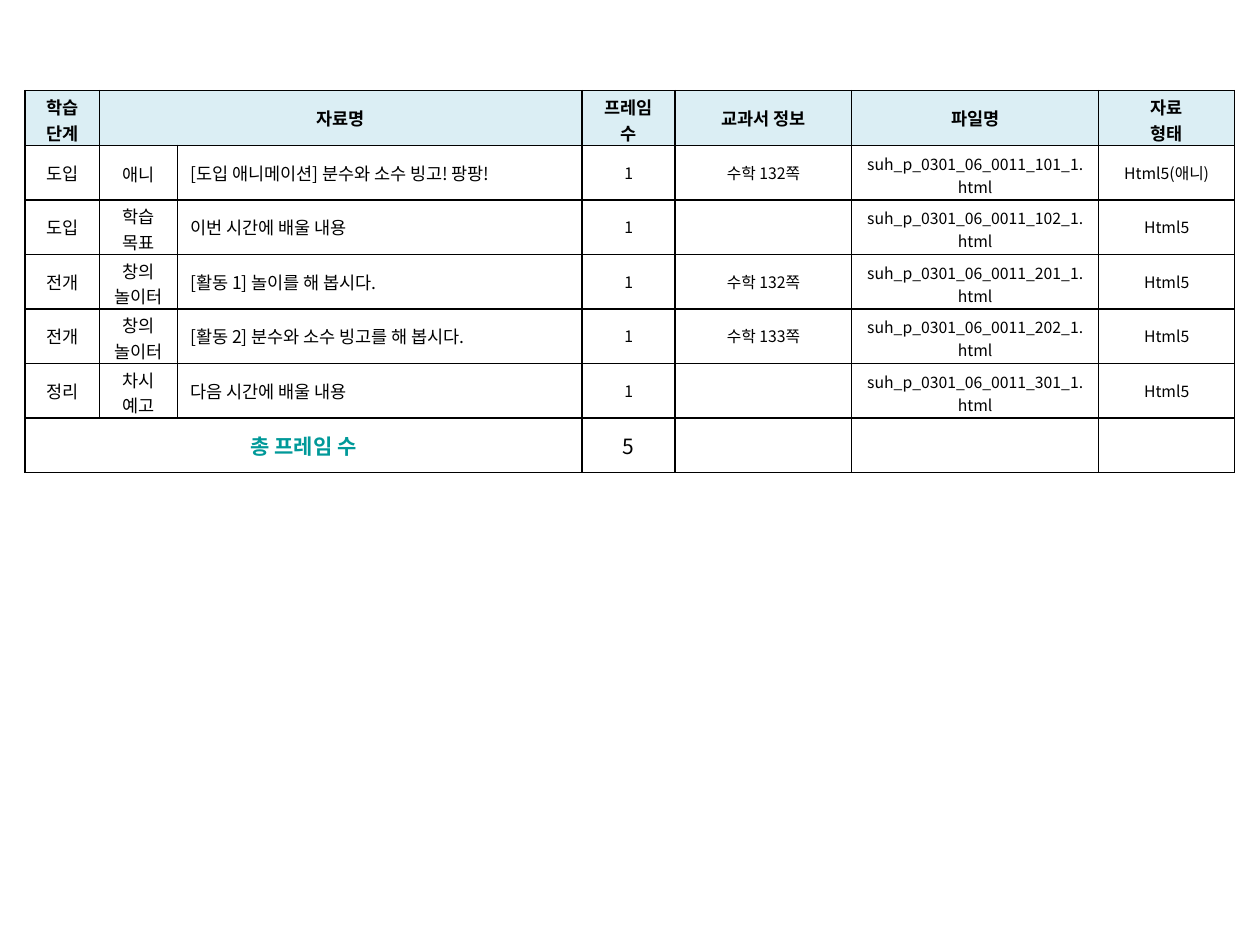
"""Build a slide with the table of lesson frames."""
from dataclasses import dataclass

from lxml.etree import SubElement
from pptx import Presentation
from pptx.dml.color import RGBColor
from pptx.enum.text import MSO_ANCHOR, PP_ALIGN
from pptx.oxml.ns import qn
from pptx.table import Table, _Cell
from pptx.util import Inches, Pt

FONT = "Noto Sans CJK KR"
BLACK, TEAL, PALE = "000000", "009999", "DBEEF4"
WIDTHS = (0.59, 0.62, 3.21, 0.74, 1.4, 1.96, 1.08)
HEIGHT = 3.03
HEADS = ("학습 단계", "자료명", "", "프레임 수", "교과서 정보", "파일명", "자료\n형태")


@dataclass
class Style:
    size: float = 10
    bold: bool = False
    color: str = BLACK
    align: PP_ALIGN = PP_ALIGN.CENTER
    fill: str = ""
    top: float = 0.05
    base: float = 0.05


@dataclass
class Frame:
    stage: str
    kind: str
    name: str
    book: str
    code: str
    form: str = "Html5"

    def texts(self) -> tuple[str, ...]:
        file = f"suh_p_0301_06_0011_{self.code}_1.html"
        return (self.stage, self.kind, self.name, "1", self.book, file, self.form)


HEAD = Style(bold=True, fill=PALE)
TIGHT = Style(bold=True, fill=PALE, top=0.03, base=0)
BODY = Style()
KIND = Style(top=0.03, base=0)
NAME = Style(align=PP_ALIGN.LEFT)
SMALL = Style(size=9)
FILE = Style(size=9, base=0.01)
TOTAL = Style(size=12, bold=True, color=TEAL)
COUNT = Style(size=12)
TOPS = (TIGHT, HEAD, HEAD, TIGHT, HEAD, HEAD, TIGHT)
STYLES = (BODY, KIND, NAME, SMALL, SMALL, FILE, SMALL)
FRAMES = (
    Frame("도입", "애니", "[도입 애니메이션] 분수와 소수 빙고! 팡팡!", "수학 132쪽", "101", "Html5(애니)"),
    Frame("도입", "학습 목표", "이번 시간에 배울 내용", "", "102"),
    Frame("전개", "창의\n놀이터", "[활동 1] 놀이를 해 봅시다.", "수학 132쪽", "201"),
    Frame("전개", "창의\n놀이터", "[활동 2] 분수와 소수 빙고를 해 봅시다.", "수학 133쪽", "202"),
    Frame("정리", "차시 예고", "다음 시간에 배울 내용", "", "301"),
)


def paint(value: str) -> RGBColor:
    return RGBColor.from_string(value)


def frame_cell(cell: _Cell) -> None:
    props = cell._tc.get_or_add_tcPr()
    for side in ("lnL", "lnR", "lnT", "lnB"):
        line = SubElement(props, qn(f"a:{side}"), w=str(Pt(1)))
        fill = SubElement(line, qn("a:solidFill"))
        SubElement(fill, qn("a:srgbClr"), val=BLACK)


def fill_cell(cell: _Cell, text: str, style: Style) -> None:
    frame_cell(cell)
    cell.vertical_anchor = MSO_ANCHOR.MIDDLE
    cell.margin_top, cell.margin_bottom = Inches(style.top), Inches(style.base)
    if style.fill:
        cell.fill.solid()
        cell.fill.fore_color.rgb = paint(style.fill)
    else:
        cell.fill.background()
    body = cell.text_frame
    for i, words in enumerate(text.split("\n")):
        para = body.add_paragraph() if i else body.paragraphs[0]
        para.alignment = style.align
        run = para.add_run()
        run.text = words
        font = run.font
        font.name, font.size, font.bold = FONT, Pt(style.size), style.bold
        font.color.rgb = paint(style.color)
        SubElement(run._r.get_or_add_rPr(), qn("a:ea"), typeface=FONT)


def fill_row(table: Table, row: int, texts: tuple[str, ...], styles: tuple[Style, ...]) -> None:
    for col, (text, style) in enumerate(zip(texts, styles)):
        fill_cell(table.cell(row, col), text, style)


def main() -> None:
    deck = Presentation()
    deck.slide_width, deck.slide_height = Inches(10), Inches(7.5)
    slide = deck.slides.add_slide(deck.slide_layouts[6])
    count = len(FRAMES) + 2
    table = slide.shapes.add_table(
        count, len(WIDTHS), Inches(0.2), Inches(0.72), Inches(sum(WIDTHS)), Inches(HEIGHT)
    ).table
    table.first_row = table.horz_banding = False
    for col, width in zip(table.columns, WIDTHS):
        col.width = Inches(width)

    last = count - 1
    fill_row(table, 0, HEADS, TOPS)
    for row, item in enumerate(FRAMES, 1):
        fill_row(table, row, item.texts(), STYLES)
    fill_row(table, last, ("총 프레임 수", "", "", "5", "", "", ""), (TOTAL,) * 3 + (COUNT,) * 4)
    table.cell(0, 1).merge(table.cell(0, 2))
    table.cell(last, 0).merge(table.cell(last, 2))
    deck.save("out.pptx")


if __name__ == "__main__":
    main()
